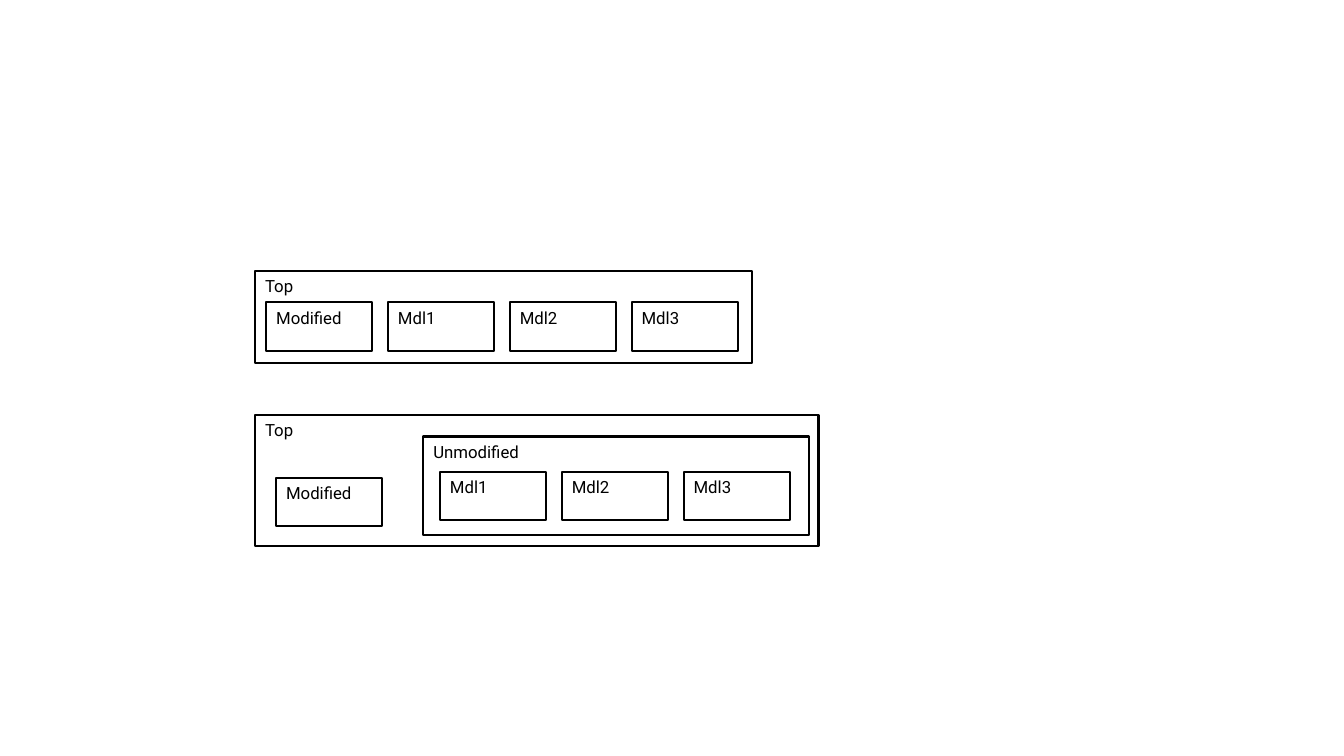
from dataclasses import dataclass

from pptx import Presentation
from pptx.dml.color import RGBColor
from pptx.enum.shapes import MSO_SHAPE
from pptx.enum.text import MSO_ANCHOR, PP_ALIGN
from pptx.slide import Slide
from pptx.util import Cm, Pt

BLACK = RGBColor(0x00, 0x00, 0x00)
WHITE = RGBColor(0xFF, 0xFF, 0xFF)
FONT = "Roboto"
MODULE_W, MODULE_H = 2.67, 1.22
MODULE_PITCH = 3.07
BLANK_LAYOUT = 6


@dataclass(frozen=True)
class Box:
    """A labelled rectangle, measured in centimetres."""
    label: str
    left: float
    top: float
    width: float = MODULE_W
    height: float = MODULE_H
    filled: bool = True


def module_row(labels: list[str], left: float, top: float) -> list[Box]:
    return [Box(label, left + i * MODULE_PITCH, top)
            for i, label in enumerate(labels)]


def draw_box(s: Slide, box: Box) -> None:
    sp = s.shapes.add_shape(MSO_SHAPE.RECTANGLE, Cm(box.left), Cm(box.top),
                            Cm(box.width), Cm(box.height))
    sp.shadow.inherit = False
    if box.filled:
        sp.fill.solid()
        sp.fill.fore_color.rgb = WHITE
    else:
        sp.fill.background()
    sp.line.color.rgb = BLACK
    sp.line.width = Pt(1.5)

    tf = sp.text_frame
    tf.text = box.label
    tf.word_wrap = True
    tf.vertical_anchor = MSO_ANCHOR.TOP
    p = tf.paragraphs[0]
    p.alignment = PP_ALIGN.LEFT
    r = p.runs[0]
    r.font.name = FONT
    r.font.size = Pt(12)
    r.font.color.rgb = BLACK


def main() -> None:
    prs = Presentation()
    prs.slide_width, prs.slide_height = Cm(33.87), Cm(19.05)
    s = prs.slides.add_slide(prs.slide_layouts[BLANK_LAYOUT])

    modules = ["Mdl1", "Mdl2", "Mdl3"]
    flat_design = [
        Box("Top", 6.43, 6.83, 12.52, 2.31),
        *module_row(["Modified", *modules], 6.71, 7.62),
    ]
    grouped_design = [
        Box("Top", 6.43, 10.46, 14.2, 3.3),
        Box("Modified", 6.96, 12.04),
        *module_row(modules, 11.09, 11.89),
        Box("Unmodified", 10.67, 11, 9.73, 2.49, filled=False),
    ]
    for box in flat_design + grouped_design:
        draw_box(s, box)

    prs.save("out.pptx")


if __name__ == "__main__":
    main()
